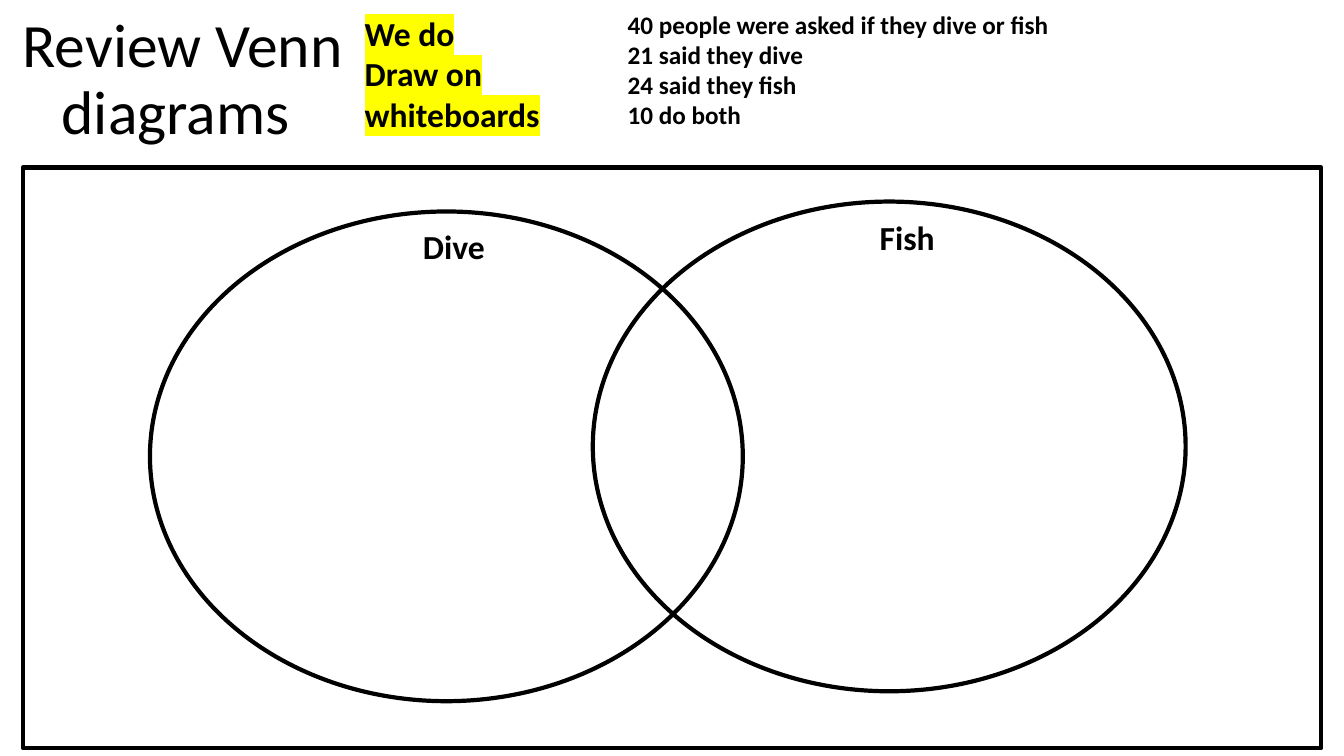
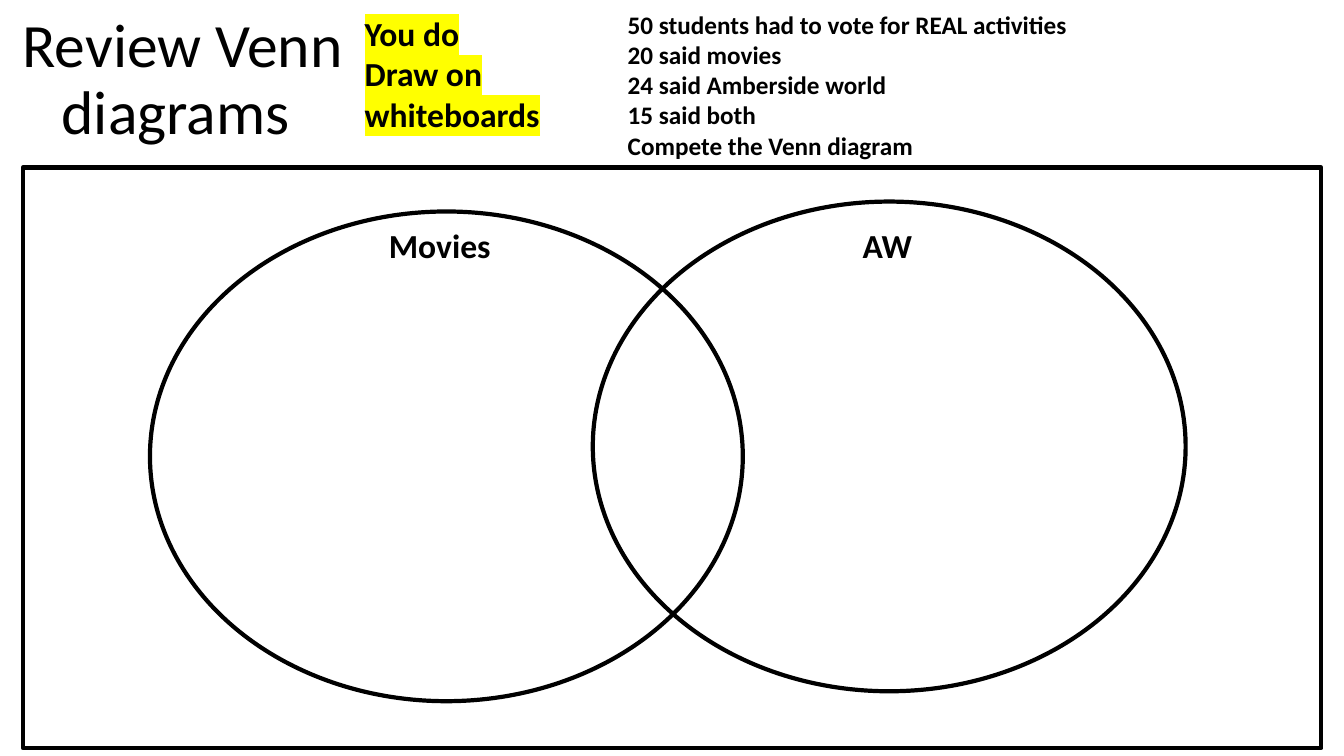
import pptx
import pptx.dml.color
import pptx.enum.shapes
import pptx.enum.text
import pptx.oxml.ns
import pptx.util
from lxml import etree

Cm = pptx.util.Cm
Pt = pptx.util.Pt
RGBColor = pptx.dml.color.RGBColor
Preset = pptx.enum.shapes.MSO_SHAPE
Align = pptx.enum.text.PP_ALIGN
AutoSize = pptx.enum.text.MSO_AUTO_SIZE

BLACK = RGBColor(0x00, 0x00, 0x00)
WHITE = RGBColor(0xFF, 0xFF, 0xFF)
YELLOW = RGBColor(0xFF, 0xFF, 0x00)

TITLE_ONLY = 5
TITLE_FONT = {"name": "Calibri", "size": Pt(44), "bold": False}
LABEL_FONT = {"name": "Calibri", "size": Pt(24), "bold": True}
FACT_FONT = {"name": "Calibri", "size": Pt(18), "bold": True}

CIRCLE_SIZE = (14.94, 12.34)
LEFT_CIRCLE = (3.78, 5.33, *CIRCLE_SIZE)
RIGHT_CIRCLE = (14.94, 5.08, *CIRCLE_SIZE)
UNIVERSE = (0.58, 4.22, 32.72, 14.63)

EXERCISES = [
    {
        "who": "We do",
        "facts": ["40 people were asked if they dive or fish", "21 said they dive",
                  "24 said they fish", "10 do both"],
        "sets": [("Dive", 10.41, 5.56, 2.16), ("Fish", 21.92, 5.33, 2.16)],
    },
    {
        "who": "You do",
        "facts": ["50 students had to vote for REAL activities", "20 said movies",
                  "24 said Amberside world", "15 said both", "Compete the Venn diagram"],
        "sets": [("Movies", 9.55, 5.54, 3.25), ("AW", 21.49, 5.54, 2.16)],
    },
]


def set_format(target, values):
    for attribute, value in values.items():
        setattr(target, attribute, value)


def highlight_run(run, color):
    """Mark the run's background; the mark must directly follow the text fill."""
    mark = etree.Element(pptx.oxml.ns.qn("a:highlight"))
    etree.SubElement(mark, pptx.oxml.ns.qn("a:srgbClr"), val=str(color))
    text_fill = run._r.find(".//" + pptx.oxml.ns.qn("a:solidFill"))
    text_fill.addnext(mark)


class VennDeck:
    """Holds the presentation, its style and the slide being built."""

    def __init__(self):
        self.deck = pptx.Presentation()
        self.deck.slide_width = Cm(33.87)
        self.deck.slide_height = Cm(19.05)
        self.slide = None

    def start_slide(self, heading):
        self.slide = self.deck.slides.add_slide(self.deck.slide_layouts[TITLE_ONLY])
        self.slide.background.fill.solid()
        self.slide.background.fill.fore_color.rgb = WHITE
        title = self.slide.shapes.title
        set_format(title, {"left": Cm(0.25), "top": Cm(0.2),
                           "width": Cm(8.71), "height": Cm(3.68)})
        title.text_frame.vertical_anchor = pptx.enum.text.MSO_ANCHOR.MIDDLE
        self.fill_lines(title.text_frame, [heading], TITLE_FONT,
                        {"alignment": Align.CENTER, "line_spacing": 0.9})

    def fill_lines(self, frame, lines, font, layout, highlight=None):
        for index, line in enumerate(lines):
            paragraph = frame.add_paragraph() if index else frame.paragraphs[0]
            set_format(paragraph, layout)
            run = paragraph.add_run()
            run.text = line
            set_format(run.font, font)
            run.font.color.rgb = BLACK
            if highlight:
                highlight_run(run, highlight)

    def text(self, lines, box, font, highlight=None):
        frame = self.slide.shapes.add_textbox(*map(Cm, box)).text_frame
        set_format(frame, {"word_wrap": True, "auto_size": AutoSize.SHAPE_TO_FIT_TEXT})
        self.fill_lines(frame, lines, font, {"alignment": Align.LEFT}, highlight)

    def outline(self, preset, box):
        figure = self.slide.shapes.add_shape(preset, *map(Cm, box))
        figure.shadow.inherit = False
        figure.fill.background()
        figure.line.color.rgb = BLACK
        figure.line.width = Pt(3)

    def exercise(self, who, facts, sets):
        # The space after the last word shifts the centred second line.
        self.start_slide("Review Venn diagrams ")
        self.outline(Preset.OVAL, LEFT_CIRCLE)
        self.outline(Preset.OVAL, RIGHT_CIRCLE)
        self.outline(Preset.RECTANGLE, UNIVERSE)
        self.text([who, "Draw on whiteboards"], (8.94, 0.2, 4.98, 3.33), LABEL_FONT, YELLOW)
        self.text(facts, (15.57, 0.1, 17.17, 0.25 + 0.77 * len(facts)), FACT_FONT)
        for name, left, top, width in sets:
            self.text([name], (left, top, width, 1.27), LABEL_FONT)


def main():
    venn = VennDeck()
    for exercise in EXERCISES:
        venn.exercise(**exercise)
    venn.deck.save("out.pptx")


if __name__ == "__main__":
    main()
